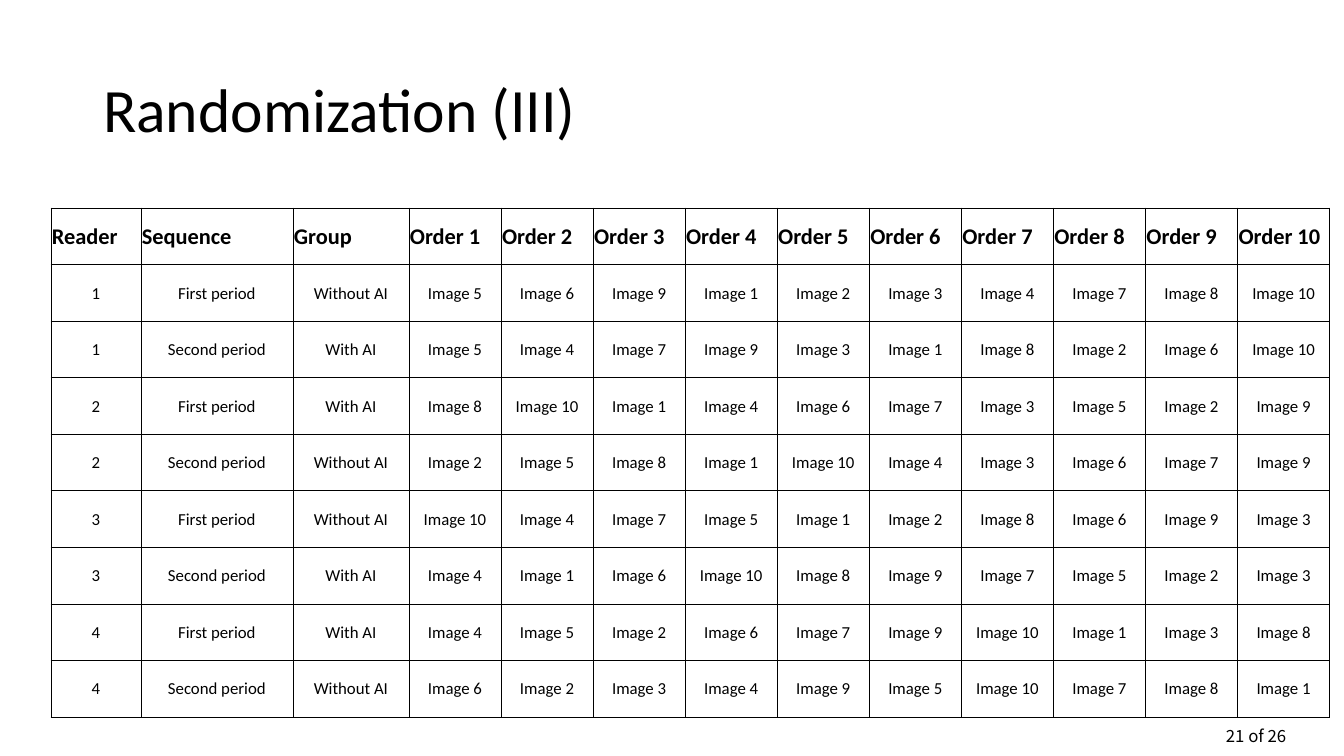
import pptx
import pptx.util
import pptx.dml.color
import pptx.enum.text
import pptx.oxml
import pptx.oxml.ns

EMU_PER_PX = 914400 / 100.8
COLORS = {"text": "000000", "grid": "000000", "background": "FFFFFF"}
FONTS = {"body": "Calibri", "page": "Noto Sans CJK SC"}
ALIGN = pptx.enum.text.PP_ALIGN
MIDDLE = pptx.enum.text.MSO_ANCHOR.MIDDLE


def px(length):
    return pptx.util.Emu(round(length * EMU_PER_PX))


def rgb(name):
    return pptx.dml.color.RGBColor.from_string(COLORS[name])


class SlideBuilder:
    def __init__(self, width, height):
        self.deck = pptx.Presentation()
        self.deck.slide_width, self.deck.slide_height = px(width), px(height)
        self.slide = self.deck.slides.add_slide(self.deck.slide_layouts[5])
        self.slide.background.fill.solid()
        self.slide.background.fill.fore_color.rgb = rgb("background")

    def style(self, paragraph, size, font="body", bold=False, align=ALIGN.LEFT):
        paragraph.alignment = align
        paragraph.font.name = FONTS[font]
        paragraph.font.size = pptx.util.Pt(size)
        paragraph.font.bold = bold
        paragraph.font.color.rgb = rgb("text")

    def title(self, wording, left, top, width, height):
        heading = self.slide.shapes.title
        heading.left, heading.top = px(left), px(top)
        heading.width, heading.height = px(width), px(height)
        frame = heading.text_frame
        frame.text = wording
        frame.auto_size = pptx.enum.text.MSO_AUTO_SIZE.NONE
        frame.vertical_anchor = MIDDLE
        frame.paragraphs[0].line_spacing = 0.9
        self.style(frame.paragraphs[0], 44)

    def text(self, wording, left, top, width, height, size, font):
        frame = self.slide.shapes.add_textbox(px(left), px(top), px(width), px(height)).text_frame
        frame.word_wrap = True
        frame.text = wording
        self.style(frame.paragraphs[0], size, font)

    def borders(self, cell, points):
        properties = cell._tc.get_or_add_tcPr()
        for side in "LRTB":
            properties.append(pptx.oxml.parse_xml(
                f'<a:ln{side} {pptx.oxml.ns.nsdecls("a")} w="{pptx.util.Pt(points)}">'
                f'<a:solidFill><a:srgbClr val="{COLORS["grid"]}"/></a:solidFill></a:ln{side}>'))

    def cell(self, cell, wording, is_header):
        cell.text = wording
        cell.vertical_anchor = MIDDLE
        cell.margin_left = cell.margin_right = cell.margin_top = px(1)
        cell.margin_bottom = 0
        self.borders(cell, 0.5)
        cell.fill.background()
        self.style(cell.text_frame.paragraphs[0], 16 if is_header else 12, bold=is_header,
                   align=ALIGN.LEFT if is_header else ALIGN.CENTER)

    def table(self, rows, left, top, width, height, lead_widths):
        grid = self.slide.shapes.add_table(len(rows), len(rows[0]), px(left), px(top),
                                           px(width), px(height)).table
        grid.first_row = grid.horz_banding = False
        # The columns after the leading ones share the remaining width
        share = (width - sum(lead_widths)) / (len(rows[0]) - len(lead_widths))
        for index, column in enumerate(grid.columns):
            column.width = px(lead_widths[index] if index < len(lead_widths) else share)
        for row_index, row in enumerate(rows):
            for column_index, wording in enumerate(row):
                self.cell(grid.cell(row_index, column_index), wording, row_index == 0)


# Image order for each reader's first and second period
PERIODS = ["First period", "Second period"]
SCHEDULE = [
    ("1", "Without AI", [5, 6, 9, 1, 2, 3, 4, 7, 8, 10]),
    ("1", "With AI", [5, 4, 7, 9, 3, 1, 8, 2, 6, 10]),
    ("2", "With AI", [8, 10, 1, 4, 6, 7, 3, 5, 2, 9]),
    ("2", "Without AI", [2, 5, 8, 1, 10, 4, 3, 6, 7, 9]),
    ("3", "Without AI", [10, 4, 7, 5, 1, 2, 8, 6, 9, 3]),
    ("3", "With AI", [4, 1, 6, 10, 8, 9, 7, 5, 2, 3]),
    ("4", "With AI", [4, 5, 2, 6, 7, 9, 10, 1, 3, 8]),
    ("4", "Without AI", [6, 2, 3, 4, 9, 5, 10, 7, 8, 1]),
]


def main():
    builder = SlideBuilder(1344, 756)

    # Page number and title
    builder.text("21 of 26", 1216, 721, 128, 30, 12, "page")
    builder.title("Randomization (III)", 93, 40, 1159, 146)

    # Randomization table
    header = ["Reader", "Sequence", "Group"] + [f"Order {number}" for number in range(1, 11)]
    readings = [[reader, PERIODS[index % 2], group] + [f"Image {image}" for image in images]
                for index, (reader, group, images) in enumerate(SCHEDULE)]
    builder.table([header] + readings, 51, 208, 1279, 509, [90, 152, 116])

    builder.deck.save("out.pptx")


if __name__ == "__main__":
    main()
